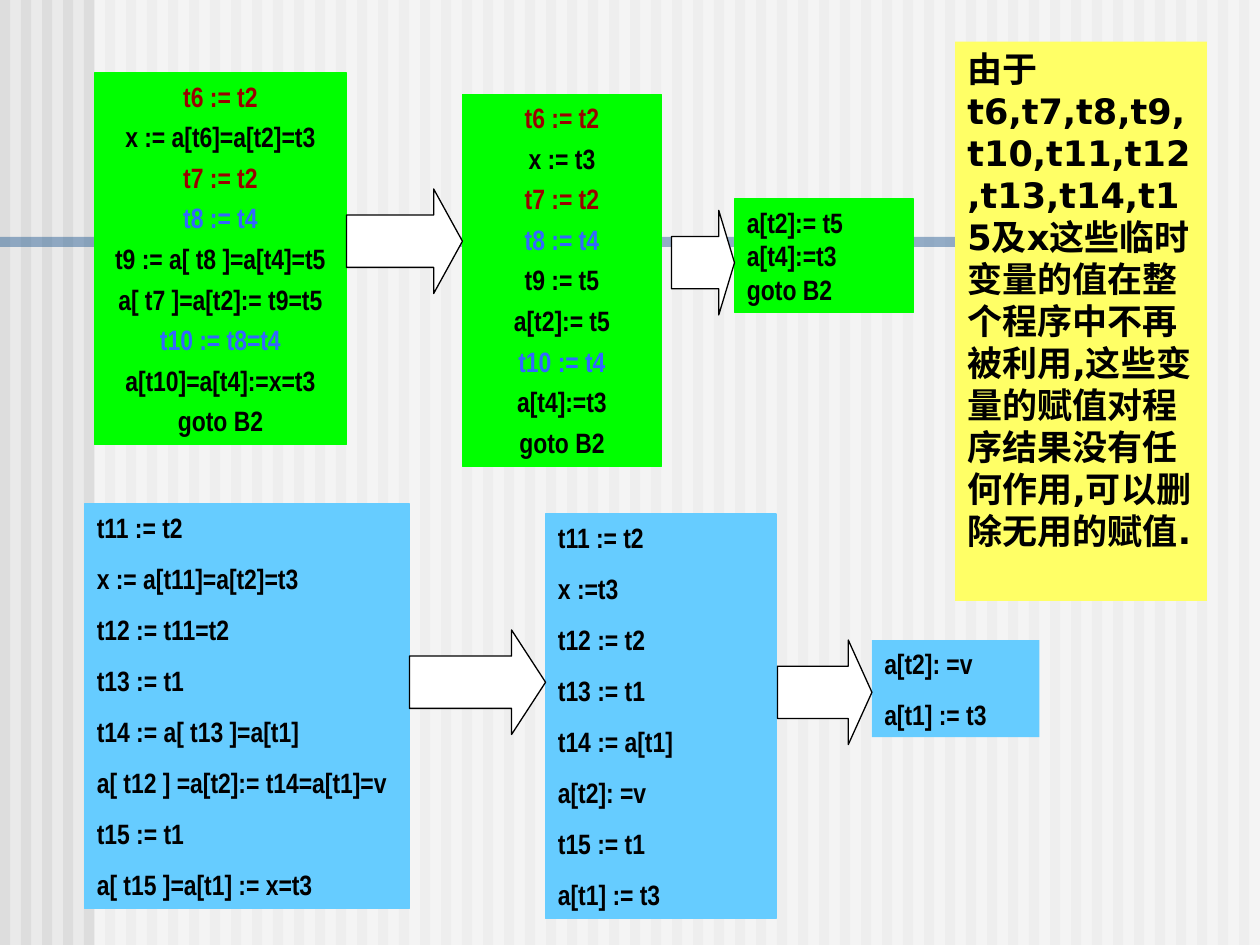
from lxml.etree import SubElement
from pptx import Presentation
from pptx.dml.color import RGBColor
from pptx.enum.shapes import MSO_SHAPE
from pptx.enum.text import MSO_ANCHOR, MSO_AUTO_SIZE, PP_ALIGN
from pptx.oxml.ns import qn
from pptx.util import Inches, Pt

BLACK = RGBColor(0x00, 0x00, 0x00)
WHITE = RGBColor(0xFF, 0xFF, 0xFF)
PAPER = RGBColor(0xEA, 0xEA, 0xEA)
GREY = RGBColor(0xDD, 0xDD, 0xDD)
NAVY = RGBColor(0x33, 0x66, 0x99)
GREEN = RGBColor(0x00, 0xFF, 0x00)
SKY = RGBColor(0x66, 0xCC, 0xFF)
YELLOW = RGBColor(0xFF, 0xFF, 0x66)
RED = RGBColor(0x9A, 0x00, 0x00)
BLUE = RGBColor(0x33, 0x66, 0xFF)

TINTS = {"t6": RED, "t7": RED, "t8": BLUE, "t10": BLUE}

COPIES = ["t6 := t2", "x := a[t6]=a[t2]=t3", "t7 := t2", "t8 := t4",
          "t9 := a[ t8 ]=a[t4]=t5", "a[ t7 ]=a[t2]:= t9=t5",
          "t10 := t8=t4", "a[t10]=a[t4]:=x=t3", "goto B2"]
SHORT = ["t6 := t2", "x := t3", "t7 := t2", "t8 := t4", "t9 := t5",
         "a[t2]:= t5", "t10 := t4", "a[t4]:=t3", "goto B2"]
FINAL = ["a[t2]:= t5", "a[t4]:=t3", "goto B2"]
COPIES_B = ["t11 := t2", "x := a[t11]=a[t2]=t3", "t12 := t11=t2", "t13 := t1",
            "t14 := a[ t13 ]=a[t1]", "a[ t12 ] =a[t2]:= t14=a[t1]=v",
            "t15 := t1", "a[ t15 ]=a[t1] := x=t3"]
SHORT_B = ["t11 := t2", "x :=t3", "t12 := t2", "t13 := t1", "t14 := a[t1]",
           "a[t2]: =v", "t15 := t1", "a[t1] := t3"]
FINAL_B = ["a[t2]: =v", "a[t1] := t3"]
NOTE = ("由于t6,t7,t8,t9,t10,t11,t12,t13,t14,t15及x这些临时变量的值在整个程序中"
        "不再被利用,这些变量的赋值对程序结果没有任何作用,可以删除无用的赋值.")


def write(para, text, *, size=16, face="Arial Narrow", color=BLACK,
          align=PP_ALIGN.LEFT, gap=0):
    para.alignment = align
    para.space_before = Pt(gap)
    run = para.add_run()
    run.text = text
    font = run.font
    font.size, font.name, font.bold = Pt(size), face, True
    font.color.rgb = color


class Deck:
    """Holds the style and the current slide."""

    def __init__(self):
        self.prs = Presentation()
        self.prs.slide_width, self.prs.slide_height = Inches(10), Inches(7.5)
        self.slide = self.prs.slides.add_slide(self.prs.slide_layouts[6])
        back = self.slide.background.fill
        back.solid()
        back.fore_color.rgb = PAPER

    def shape(self, spot, fill, kind=MSO_SHAPE.RECTANGLE, line=None):
        item = self.slide.shapes.add_shape(kind, *map(Inches, spot))
        item.shadow.inherit = False
        item.fill.solid()
        item.fill.fore_color.rgb = fill
        if line is None:
            item.line.fill.background()
        else:
            item.line.color.rgb = line
            item.line.width = Pt(0.75)
        return item

    def veil(self, spot, fill):
        item = self.shape(spot, fill)
        tone = item.fill._xPr.find(qn("a:solidFill"))[0]
        SubElement(tone, qn("a:alpha")).set("val", "50000")

    def arrow(self, spot, head):
        item = self.shape(spot, WHITE, MSO_SHAPE.RIGHT_ARROW, BLACK)
        item.adjustments[0], item.adjustments[1] = 0.5, head

    def box(self, spot, fill, lines, line=None, gap=0, **style):
        frame = self.shape(spot, fill, line=line).text_frame
        frame.word_wrap = True
        frame.auto_size = MSO_AUTO_SIZE.SHAPE_TO_FIT_TEXT
        frame.vertical_anchor = MSO_ANCHOR.TOP
        for i, text in enumerate(lines):
            para = frame.add_paragraph() if i else frame.paragraphs[0]
            color = TINTS.get(text.split()[0], BLACK)
            write(para, text, color=color, gap=gap if i else 0, **style)


def main():
    deck = Deck()
    for i in range(60):
        deck.shape((i / 6, 0, 0.08, 7.5), GREY)
    deck.veil((0.75, 0, 9.25, 7.5), WHITE)
    deck.veil((0, 1.88, 7.6, 0.08), NAVY)

    mid = PP_ALIGN.CENTER
    deck.box((0.75, 0.58, 2, 2.95), GREEN, COPIES, GREEN, 4, align=mid)
    deck.box((3.67, 0.75, 1.58, 2.95), GREEN, SHORT, GREEN, 4, align=mid)
    deck.arrow((2.75, 1.5, 0.92, 0.83), 0.275)
    deck.box((0.67, 4, 2.58, 3.21), SKY, COPIES_B, SKY, 10)
    deck.box((4.33, 4.08, 1.83, 3.21), SKY, SHORT_B, SKY, 10)
    deck.arrow((3.25, 5, 1.08, 0.83), 0.325)
    deck.box((7.58, 0.33, 2, 4.44), YELLOW, [NOTE], size=20, face="DejaVu Sans")
    deck.box((5.83, 1.58, 1.42, 0.9), GREEN, FINAL, GREEN)
    deck.arrow((5.33, 1.67, 0.5, 0.83), 0.25)
    deck.box((6.92, 5.08, 1.33, 0.77), SKY, FINAL_B, gap=10)
    deck.arrow((6.17, 5.08, 0.75, 0.83), 0.25)
    deck.prs.save("out.pptx")


if __name__ == "__main__":
    main()
